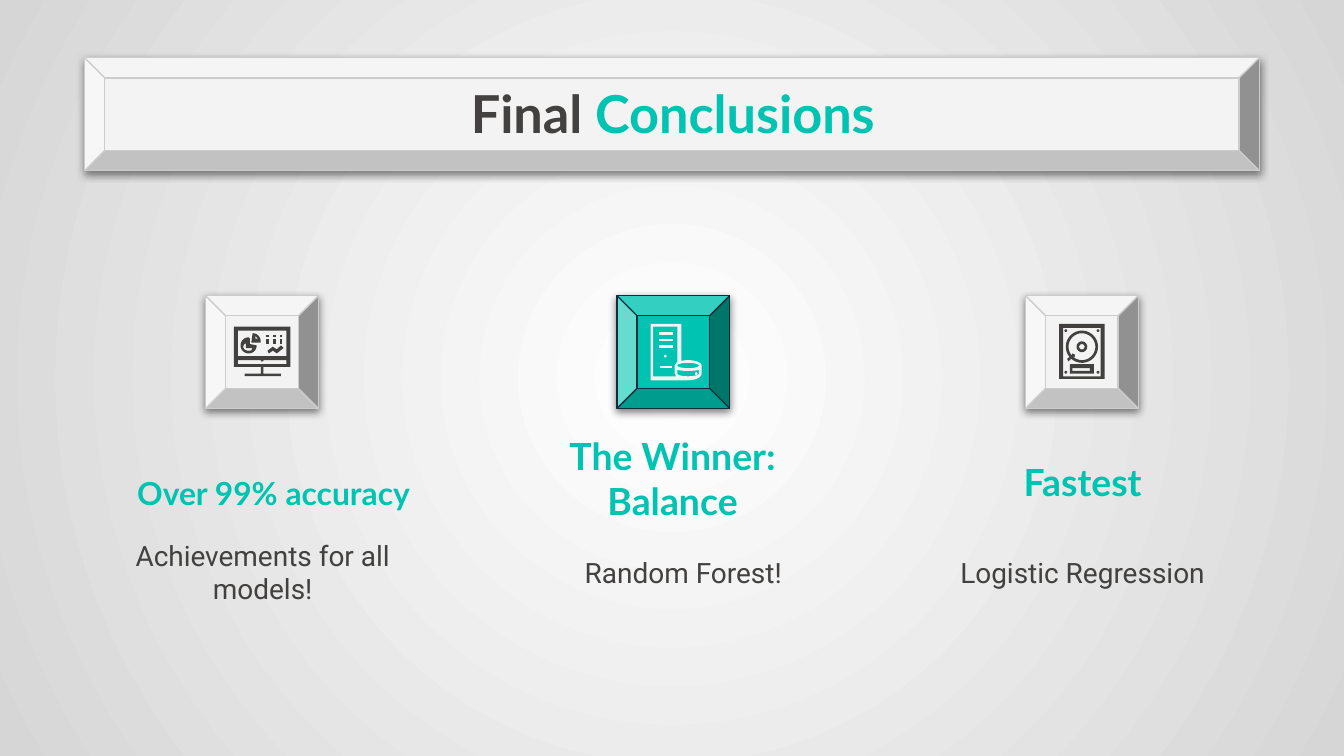
from math import cos, radians, sin

from lxml.etree import SubElement
from pptx import Presentation
from pptx.dml.color import RGBColor
from pptx.enum.shapes import MSO_SHAPE
from pptx.enum.text import MSO_ANCHOR, MSO_AUTO_SIZE, PP_ALIGN
from pptx.oxml.ns import qn
from pptx.util import Inches, Pt

WHITE = RGBColor(0xFF, 0xFF, 0xFF)
EDGE_GRAY = RGBColor(0xD6, 0xD6, 0xD6)
LIGHT = RGBColor(0xF3, 0xF3, 0xF3)
LINE_GRAY = RGBColor(0xCC, 0xCC, 0xCC)
DARK = RGBColor(0x42, 0x41, 0x3F)
TEAL = RGBColor(0x00, 0xC3, 0xB1)
NAVY = RGBColor(0x0C, 0x2E, 0x3A)


def box(left, top, right, bottom):
    return [(left, top), (left, bottom), (right, bottom), (right, top)]


def arc(x, y, radius_x, radius_y, start=0, end=360, steps=32):
    angles = [radians(start + (end - start) * i / steps) for i in range(steps + 1)]
    return [(x + radius_x * cos(a), y + radius_y * sin(a)) for a in angles]


def dot(x, y):
    return [arc(x, y, 0.01, 0.01)]


MONITOR_ICON = [
    [[(1.74, 2.43), (1.74, 2.73), (1.94, 2.73), (1.94, 2.78), (1.82, 2.78), (1.82, 2.8),
      (2.09, 2.8), (2.09, 2.78), (1.96, 2.78), (1.96, 2.73), (2.16, 2.73), (2.16, 2.43)],
     box(1.77, 2.46, 2.13, 2.65),
     [(1.77, 2.68), (1.94, 2.68), (1.94, 2.69), (1.96, 2.69), (1.96, 2.68),
      (2.13, 2.68), (2.13, 2.71), (1.77, 2.71)]],
    [[(1.86, 2.56), (1.86, 2.52)] + arc(1.85, 2.57, 0.06, 0.06, 270, 0),
     [(1.83, 2.59), (1.88, 2.59)] + arc(1.85, 2.58, 0.04, 0.03, 60, 240)],
    [[(1.87, 2.55)] + arc(1.88, 2.54, 0.06, 0.06, -90, 0) + [(1.94, 2.55)],
     [(1.9, 2.5), (1.92, 2.52), (1.9, 2.52)]],
    [[(2.09, 2.57), (2.06, 2.6), (2.03, 2.58), (1.99, 2.61), (2, 2.63),
      (2.03, 2.61), (2.06, 2.63), (2.11, 2.59)]],
] + [[box(x, top, x + 0.02, bottom)]
     for x in (1.98, 2.03, 2.08) for top, bottom in ((2.49, 2.51), (2.52, 2.56))]

SERVER_ICON = [
    [[(4.84, 2.41), (4.84, 2.83)] + arc(5.12, 2.78, 0.1, 0.05, 90, 0)
     + arc(5.12, 2.72, 0.1, 0.04, 0, -120) + [(5.07, 2.41)],
     [(4.86, 2.43), (5.04, 2.43), (5.04, 2.69), (5.02, 2.72), (5.02, 2.78),
      (5.03, 2.8), (4.86, 2.8)],
     arc(5.12, 2.72, 0.08, 0.02),
     arc(5.12, 2.78, 0.08, 0.02, 0, 180) + arc(5.12, 2.75, 0.08, 0.01, 180, 0)],
    [box(4.91, 2.72, 5, 2.74)],
    dot(4.95, 2.65),
    dot(5.18, 2.78),
] + [[box(4.9, top, 5.01, top + 0.02)] for top in (2.47, 2.52, 2.57)]

DISK_ICON = [
    [box(7.88, 2.41, 8.22, 2.82), box(7.91, 2.44, 8.19, 2.8)],
    [arc(8.05, 2.58, 0.04, 0.04), arc(8.05, 2.58, 0.02, 0.02)],
    [box(7.96, 2.71, 8.14, 2.78), box(7.98, 2.74, 8.11, 2.76)],
    [arc(8.05, 2.58, 0.12, 0.12, 130, -220) + [(7.94, 2.67), (7.95, 2.69), (7.97, 2.67)],
     arc(8.05, 2.58, 0.1, 0.1, 125, -220) + [(7.98, 2.63), (8, 2.64)]],
] + [dot(x, y) for x in (7.93, 8.17) for y in (2.46, 2.77)]

TITLE = [("Final ", DARK), ("Conclusions", TEAL)]
CONCLUSIONS = [
    dict(heading="Over 99% accuracy", size=17, heading_box=(0.79, 3.36, 2.49, 0.61), spacing=1.0,
         text="Achievements for all models!", text_left=0.79, key_left=1.53,
         fill=LIGHT, line=LINE_GRAY, icon=MONITOR_ICON, icon_color=DARK),
    dict(heading="The Winner: Balance", size=20, heading_box=(3.84, 3.36, 2.33, 0.4), spacing=1.0,
         text="Random Forest!", text_left=3.92, key_left=4.59,
         fill=TEAL, line=NAVY, icon=SERVER_ICON, icon_color=LIGHT),
    dict(heading="Fastest", size=20, heading_box=(6.89, 3.36, 2.33, 0.4), spacing=1.15,
         text="Logistic Regression", text_left=6.89, key_left=7.63,
         fill=LIGHT, line=LINE_GRAY, icon=DISK_ICON, icon_color=DARK),
]


def set_background(slide):
    fill = slide.background.fill
    fill.gradient()
    for stop, position, color in zip(fill.gradient_stops, (0, 1), (WHITE, EDGE_GRAY)):
        stop.position = position
        stop.color.rgb = color
    gradient = slide.element.find(".//" + qn("a:gradFill"))
    linear = gradient.find(qn("a:lin"))
    circle = gradient.makeelement(qn("a:path"), {"path": "circle"})
    gradient.replace(linear, circle)
    SubElement(circle, qn("a:fillToRect"), dict.fromkeys("ltrb", "50000"))


def add_bevel(slide, left, top, width, height, fill, line):
    shape = slide.shapes.add_shape(MSO_SHAPE.BEVEL, *map(Inches, (left, top, width, height)))
    shape.adjustments[0] = 0.179
    shape.fill.solid()
    shape.fill.fore_color.rgb = fill
    shape.line.color.rgb = line
    shape.line.width = Pt(0.75)
    shape.shadow.inherit = False
    effects = shape.element.spPr.find(qn("a:effectLst"))
    shadow = SubElement(effects, qn("a:outerShdw"), blurRad=str(Pt(4.5)), dist=str(Pt(1.5)),
                        dir="5400000", algn="bl", rotWithShape="0")
    color = SubElement(shadow, qn("a:srgbClr"), val="000000")
    SubElement(color, qn("a:alpha"), val="50000")


def add_icon(slide, parts, color):
    shapes = []
    for contours in parts:
        outlines = [[(Inches(x), Inches(y)) for x, y in contour] for contour in contours]
        builder = slide.shapes.build_freeform(*outlines[0][0])
        builder.add_line_segments(outlines[0][1:])
        for outline in outlines[1:]:
            builder.move_to(*outline[0])
            builder.add_line_segments(outline[1:])
        shape = builder.convert_to_shape()
        shape.fill.solid()
        shape.fill.fore_color.rgb = color
        shape.line.fill.background()
        shape.shadow.inherit = False
        shapes.append(shape)
    slide.shapes.add_group_shape(shapes)


def write(shape, runs, font, size, bold=False, spacing=1.0):
    frame = shape.text_frame
    frame.word_wrap = True
    frame.auto_size = MSO_AUTO_SIZE.NONE
    frame.vertical_anchor = MSO_ANCHOR.MIDDLE
    frame.margin_left = frame.margin_right = Inches(0.1)
    frame.margin_top = frame.margin_bottom = Inches(0.1)
    paragraph = frame.paragraphs[0]
    paragraph.alignment = PP_ALIGN.CENTER
    paragraph.line_spacing = spacing
    for text, color in runs:
        run = paragraph.add_run()
        run.text = text
        run.font.name = font
        run.font.size = Pt(size)
        run.font.bold = bold
        run.font.color.rgb = color


def add_text(slide, bounds, *args, **kwargs):
    write(slide.shapes.add_textbox(*map(Inches, bounds)), *args, **kwargs)


def main():
    presentation = Presentation()
    presentation.slide_width = Inches(10)
    presentation.slide_height = presentation.slide_width * 9 // 16
    slide = presentation.slides.add_slide(presentation.slide_layouts[5])
    set_background(slide)

    add_bevel(slide, 0.63, 0.43, 8.74, 0.84, LIGHT, LINE_GRAY)
    title = slide.shapes.title
    title.left, title.top, title.width, title.height = map(Inches, (0.79, 0.59, 8.43, 0.5))
    write(title, TITLE, "Lato", 28, bold=True)
    slide.shapes.element.append(title.element)

    for item in CONCLUSIONS:
        add_bevel(slide, item["key_left"], 2.2, 0.84, 0.84, item["fill"], item["line"])
        add_icon(slide, item["icon"], item["icon_color"])
        add_text(slide, item["heading_box"], [(item["heading"], TEAL)], "Lato", item["size"],
                 bold=True, spacing=item["spacing"])
        add_text(slide, (item["text_left"], 3.75, 2.33, 1.01), [(item["text"], DARK)],
                 "Roboto", 15)

    presentation.save("out.pptx")


if __name__ == "__main__":
    main()
